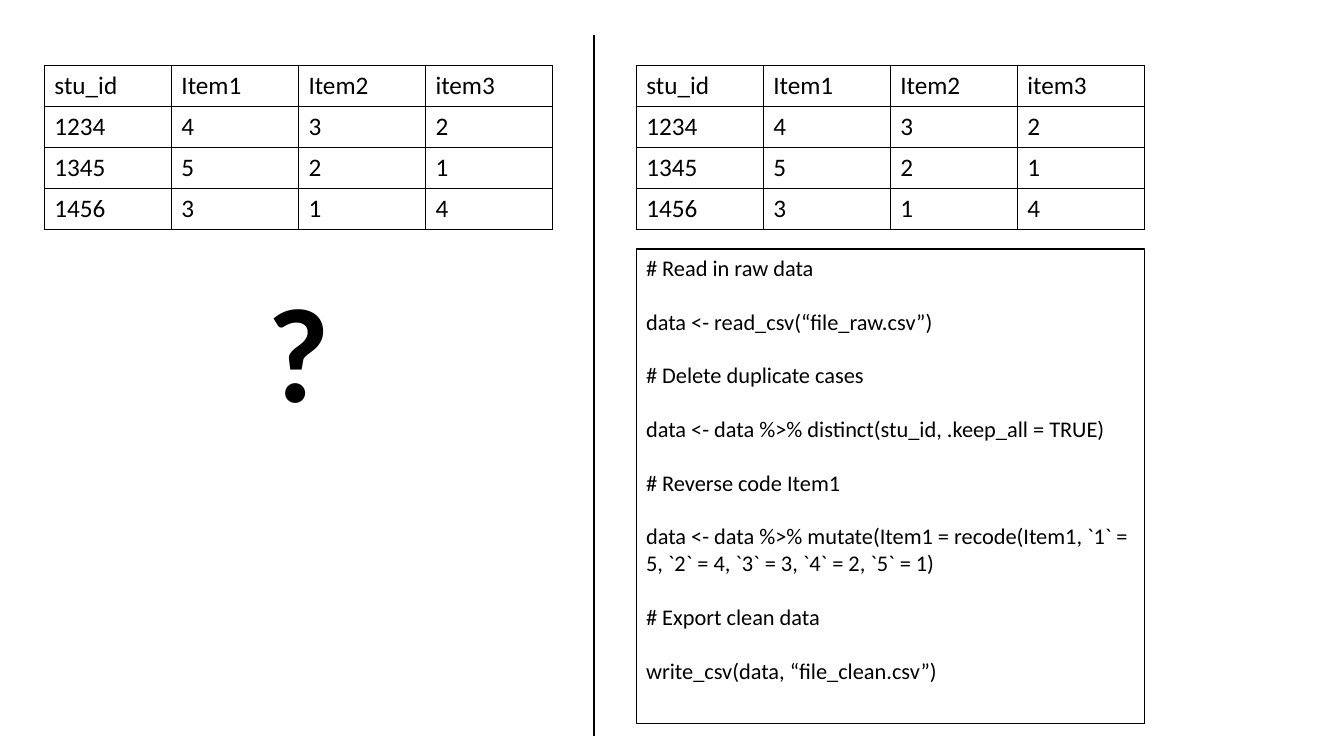
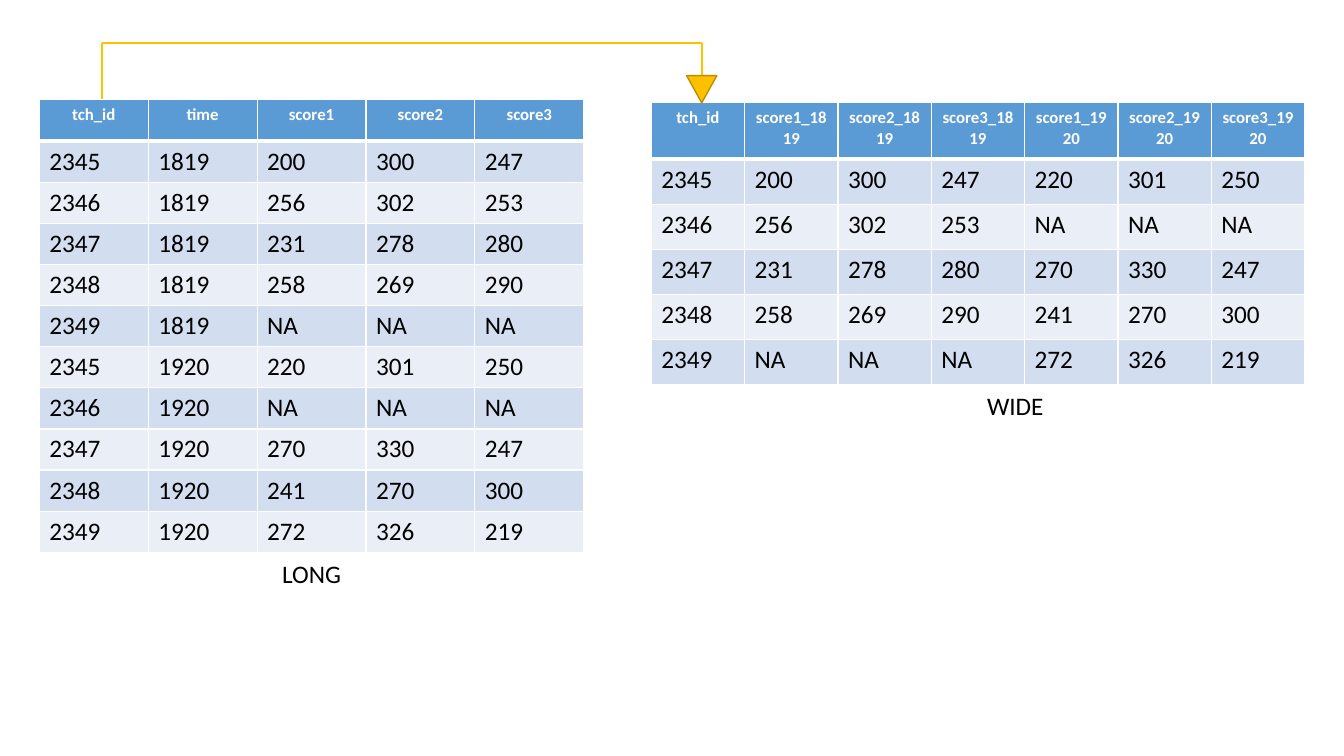
from lxml import etree
from pptx import Presentation
from pptx.dml.color import RGBColor
from pptx.enum.shapes import MSO_CONNECTOR, MSO_SHAPE
from pptx.enum.text import PP_ALIGN
from pptx.oxml.ns import qn
from pptx.util import Inches, Pt

LEFT, CENTER = PP_ALIGN.LEFT, PP_ALIGN.CENTER
STRAIGHT = MSO_CONNECTOR.STRAIGHT
TRIANGLE = MSO_SHAPE.ISOSCELES_TRIANGLE

BLACK, WHITE = "000000", "FFFFFF"
BLUE, BAND_DARK, BAND_LIGHT = "5B9BD5", "D2DEEF", "EAEFF7"
GOLD, DARK_GOLD = "FFC000", "BD8E00"

STUDENTS = [
    ["stu_id", "Item1", "Item2", "item3"],
    ["1234", "4", "3", "2"],
    ["1345", "5", "2", "1"],
    ["1456", "3", "1", "4"],
]
CODE_LINES = [
    "# Read in raw data",
    "data <- read_csv(“file_raw.csv”)",
    "# Delete duplicate cases",
    "data <- data %>% distinct(stu_id, .keep_all = TRUE)",
    "# Reverse code Item1",
    "data <- data %>% mutate(Item1 = recode(Item1, `1` = 5, `2` = 4, `3` = 3, `4` = 2, `5` = 1)",
    "# Export clean data",
    "write_csv(data, “file_clean.csv”)",
]
TEACHERS = ["2345", "2346", "2347", "2348", "2349"]
MEASURES = ["score1", "score2", "score3"]
MISSING = ["NA"] * len(MEASURES)
SCORES = {
    "1819": [["200", "300", "247"], ["256", "302", "253"], ["231", "278", "280"],
             ["258", "269", "290"], MISSING],
    "1920": [["220", "301", "250"], MISSING, ["270", "330", "247"],
             ["241", "270", "300"], ["272", "326", "219"]],
}


def color(value):
    return RGBColor.from_string(value)


class Deck:
    """Holds the shared style and draws elements on the current slide."""

    font_name = "Calibri"

    def __init__(self):
        self.presentation = Presentation()
        self.presentation.slide_width = Inches(13.33)
        self.presentation.slide_height = Inches(7.5)
        self.slide = None

    def add_slide(self):
        blank_layout = self.presentation.slide_layouts[6]
        self.slide = self.presentation.slides.add_slide(blank_layout)

    def format_paragraph(self, paragraph, size, align=LEFT, ink=BLACK, bold=False):
        paragraph.alignment = align
        paragraph.font.name = self.font_name
        paragraph.font.size = Pt(size)
        paragraph.font.bold = bold
        paragraph.font.color.rgb = color(ink)

    def border_cell(self, cell, ink, top=1, bottom=1):
        properties = cell._tc.get_or_add_tcPr()
        for side, width in (("L", 1), ("R", 1), ("T", top), ("B", bottom)):
            line = etree.SubElement(properties, qn(f"a:ln{side}"), w=str(Pt(width)))
            fill = etree.SubElement(line, qn("a:solidFill"))
            etree.SubElement(fill, qn("a:srgbClr"), val=ink)

    def style_cell(self, cell, row_index, banded):
        paragraph = cell.text_frame.paragraphs[0]
        if not banded:
            self.border_cell(cell, BLACK)
            cell.fill.background()
            self.format_paragraph(paragraph, 18)
            return
        is_header = row_index == 0
        self.border_cell(cell, WHITE, top=3 if row_index == 1 else 1, bottom=3 if is_header else 1)
        cell.fill.solid()
        if is_header:
            cell.fill.fore_color.rgb = color(BLUE)
            self.format_paragraph(paragraph, 12, CENTER, WHITE, bold=True)
        else:
            cell.fill.fore_color.rgb = color(BAND_DARK if row_index % 2 else BAND_LIGHT)
            self.format_paragraph(paragraph, 18)

    def add_table(self, rows, left, top, width, height, header_height=0.41, banded=False):
        table = self.slide.shapes.add_table(
            len(rows), len(rows[0]), Inches(left), Inches(top), Inches(width), Inches(height)
        ).table
        table.first_row = table.horz_banding = False
        body_height = (height - header_height) / (len(rows) - 1)
        for row_index, values in enumerate(rows):
            table.rows[row_index].height = Inches(body_height if row_index else header_height)
            for column_index, value in enumerate(values):
                cell = table.cell(row_index, column_index)
                cell.text = value
                self.style_cell(cell, row_index, banded)

    def add_text(self, lines, left, top, width, height, size=18, align=CENTER, bold=False,
                 gap=0, border=None):
        shape = self.slide.shapes.add_textbox(
            Inches(left), Inches(top), Inches(width), Inches(height)
        )
        frame = shape.text_frame
        frame.word_wrap = True
        frame.text = "\n".join(lines)
        for paragraph in frame.paragraphs:
            self.format_paragraph(paragraph, size, align, bold=bold)
            paragraph.space_after = Pt(gap)
        if border:
            shape.line.color.rgb = color(border)
            shape.line.width = Pt(0.75)

    def add_line(self, start, end, ink=BLACK, width=1):
        points = [Inches(value) for value in (*start, *end)]
        connector = self.slide.shapes.add_connector(STRAIGHT, *points)
        connector.line.color.rgb = color(ink)
        connector.line.width = Pt(width)
        etree.SubElement(connector._element.spPr, qn("a:effectLst"))

    def add_down_triangle(self, left, top, width, height):
        shape = self.slide.shapes.add_shape(
            TRIANGLE, Inches(left), Inches(top), Inches(width), Inches(height)
        )
        shape.rotation = 180
        shape.shadow.inherit = False
        shape.fill.solid()
        shape.fill.fore_color.rgb = color(GOLD)
        shape.line.color.rgb = color(DARK_GOLD)
        shape.line.width = Pt(1)


def long_rows():
    rows = [["tch_id", "time", *MEASURES]]
    for period, results in SCORES.items():
        rows += [[teacher, period, *scores] for teacher, scores in zip(TEACHERS, results)]
    return rows


def wide_rows():
    header = ["tch_id"] + [f"{measure}_{period}" for period in SCORES for measure in MEASURES]
    return [header] + [
        [teacher, *first, *second] for teacher, first, second in zip(TEACHERS, *SCORES.values())
    ]


def build_code_slide(deck):
    left, right, width = 0.44, 6.31, 5.04
    deck.add_slide()
    for table_left in (left, right):
        deck.add_table(STUDENTS, table_left, 0.65, width, 1.62)
    deck.add_text(["?"], left, 2.61, width, 1.72, size=96, bold=True)
    deck.add_line((5.89, 0.35), (5.89, 7.3))
    deck.add_text(CODE_LINES, right, 2.47, width, 4.71, size=16, align=LEFT, gap=19.2,
                  border=BLACK)


def build_reshape_slide(deck):
    start, end, top, bottom = 1.01, 6.96, 0.43, 0.98
    deck.add_slide()
    deck.add_table(long_rows(), 0.39, 0.99, 5.4, 4.49, banded=True)
    deck.add_table(wide_rows(), 6.46, 1.02, 6.48, 2.8, header_height=0.56, banded=True)
    for x in (start, end):
        deck.add_line((x, bottom), (x, top), GOLD, 1.5)
    deck.add_line((start, top), (end, top), GOLD, 1.5)
    deck.add_down_triangle(6.81, 0.75, 0.3, 0.27)
    deck.add_text(["LONG"], 1.73, 5.49, 2.72, 0.4)
    deck.add_text(["WIDE"], 8.71, 3.82, 2.72, 0.4)


def main():
    deck = Deck()
    build_code_slide(deck)
    build_reshape_slide(deck)
    deck.presentation.save("out.pptx")


if __name__ == "__main__":
    main()
